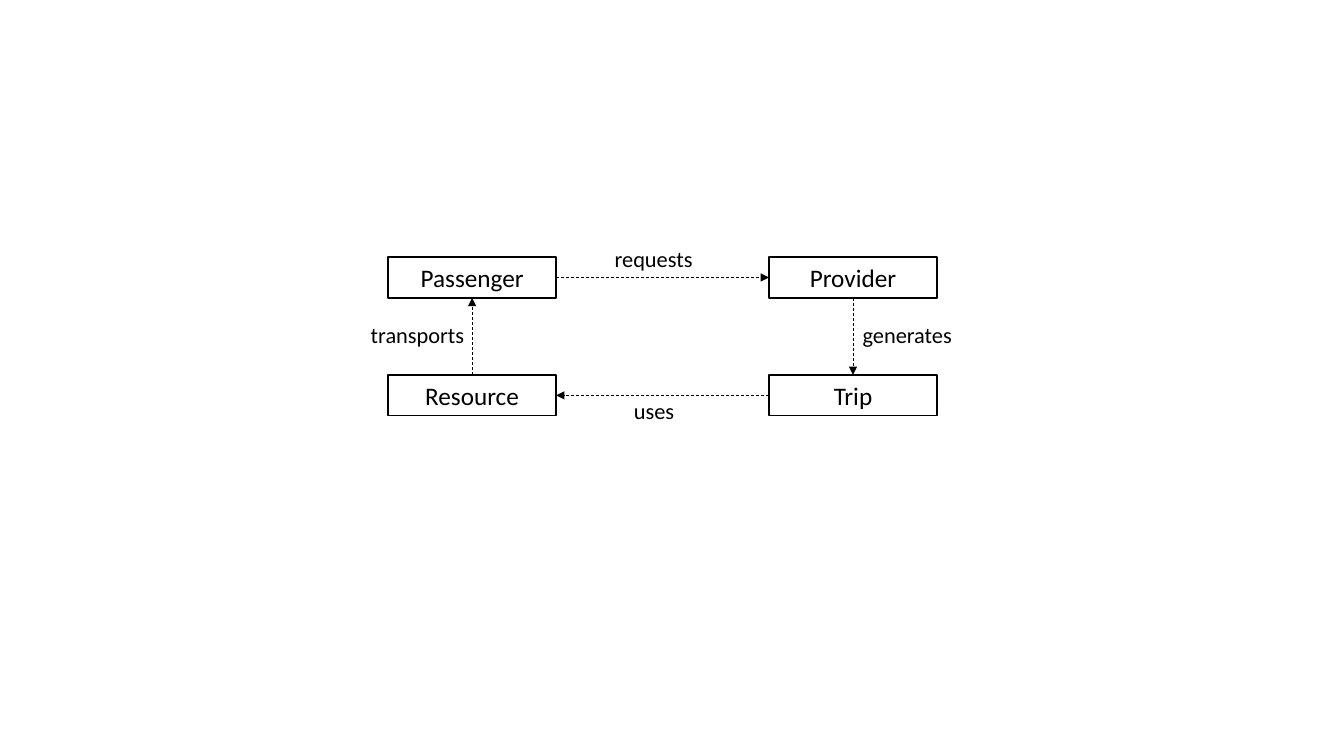
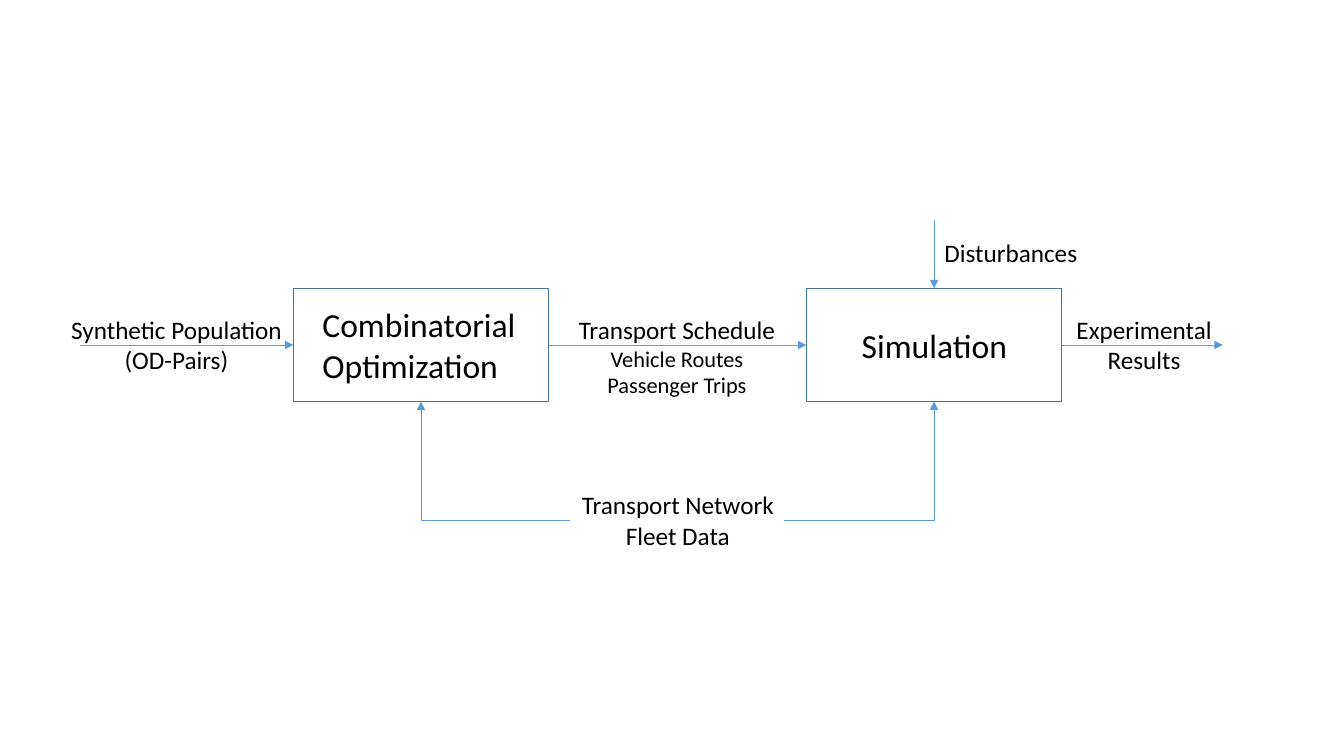
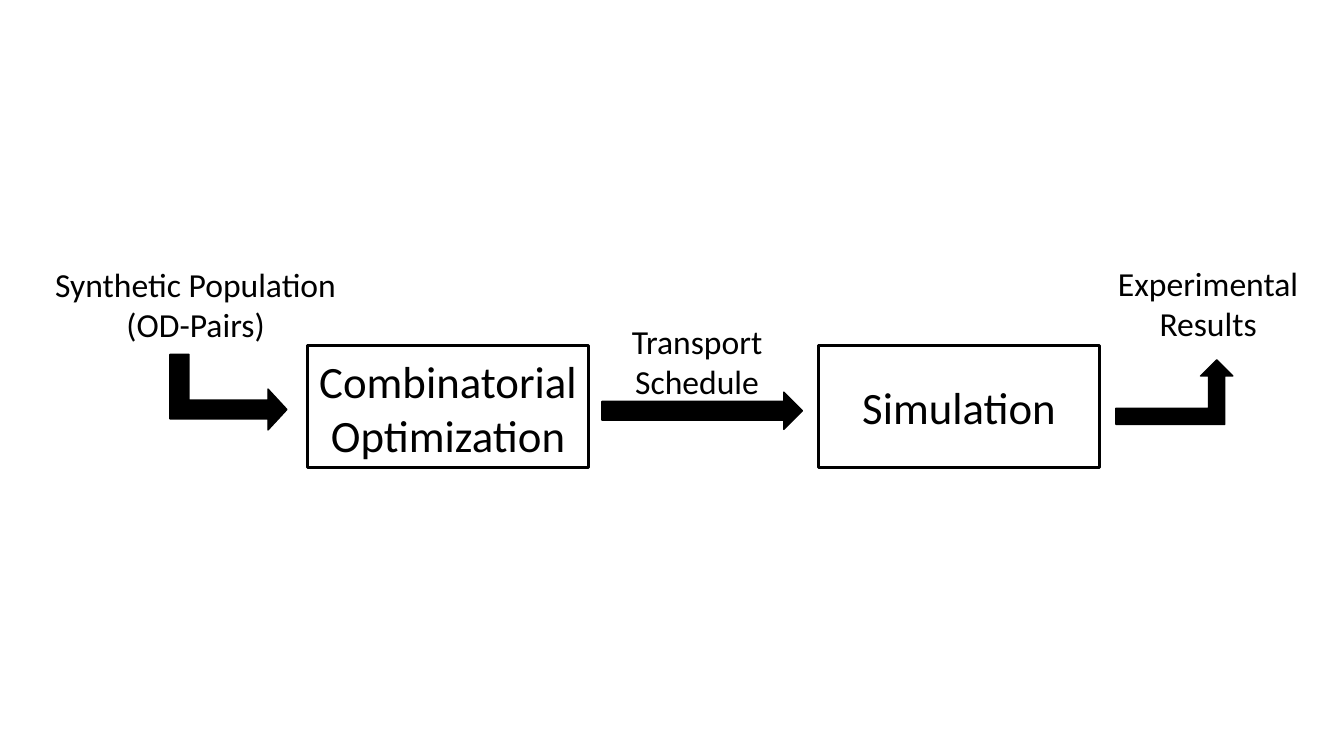
import pptx
import pptx.util
import pptx.dml.color
import pptx.enum.dml
import pptx.enum.shapes
import pptx.enum.text
import pptx.oxml
import pptx.oxml.ns

WIDE, HIGH = pptx.util.Inches(13.333), pptx.util.Inches(7.5)
FONT = "Calibri"
COLORS = {"ink": "000000", "edge": "43739E", "flow": "5B9BD5"}
SHAPE = pptx.enum.shapes.MSO_SHAPE
LINK = pptx.enum.shapes.MSO_CONNECTOR
ALIGN = pptx.enum.text.PP_ALIGN
# Share of a box's width and height at which each side's middle lies
SIDES = {"top": (0.5, 0), "left": (0, 0.5), "bottom": (0.5, 1), "right": (1, 0.5)}


# Lengths are percentages of the slide's width and height
def across(share):
    return round(WIDE * share / 100)


def down(share):
    return round(HIGH * share / 100)


def color(name):
    return pptx.dml.color.RGBColor.from_string(COLORS[name])


def style(para, size, align=ALIGN.CENTER):
    para.alignment = align
    para.font.name = FONT
    para.font.size = pptx.util.Pt(size)
    para.font.color.rgb = color("ink")


def shape(slide, kind, left, top, width, height, line="ink", weight=1, fill=None):
    item = slide.shapes.add_shape(
        kind, across(left), down(top), across(width), down(height))
    item.shadow.inherit = False
    if fill:
        item.fill.solid()
        item.fill.fore_color.rgb = color(fill)
    else:
        item.fill.background()
    item.line.color.rgb = color(line)
    item.line.width = pptx.util.Pt(weight)
    return item


def box(slide, left, top, width, height, text="", **look):
    item = shape(slide, SHAPE.RECTANGLE, left, top, width, height, **look)
    if text:
        item.text_frame.text = text
        style(item.text_frame.paragraphs[0], 18)
    return item


def label(slide, text, size, left, top, width, align=ALIGN.CENTER, rest=None):
    """Add a text box; lines after the first take the size rest, if given."""
    lines = text.split("\n")
    sizes = [size] + [rest or size] * (len(lines) - 1)
    height = pptx.util.Inches(0.1) + pptx.util.Pt(1.2 * sum(sizes))
    item = slide.shapes.add_textbox(across(left), down(top), across(width), height)
    frame = item.text_frame
    frame.text = text
    frame.word_wrap = False
    frame.auto_size = pptx.enum.text.MSO_AUTO_SIZE.SHAPE_TO_FIT_TEXT
    for para, points in zip(frame.paragraphs, sizes):
        style(para, points, align)


def port(item, side):
    part_x, part_y = SIDES[side]
    return (round(item.left + item.width * part_x),
            round(item.top + item.height * part_y))


def arrow(slide, start, end, line="flow", dash=False, bent=False):
    kind = LINK.ELBOW if bent else LINK.STRAIGHT
    item = slide.shapes.add_connector(kind, *start, *end)
    item.line.color.rgb = color(line)
    item.line.width = pptx.util.Pt(0.5)
    if dash:
        item.line.dash_style = pptx.enum.dml.MSO_LINE.DASH
    qn = pptx.oxml.ns.qn
    props = item._element.spPr
    if bent:  # a single corner
        props.find(qn("a:prstGeom")).set("prst", "bentConnector2")
    tail = props.find(qn("a:ln")).makeelement(qn("a:tailEnd"), {"type": "triangle"})
    props.find(qn("a:ln")).append(tail)
    props.append(props.makeelement(qn("a:effectLst"), {}))


def cycle(slide):
    # Corner boxes, clockwise
    left, right, upper, lower = 28.88, 57.22, 34, 49.6
    rider, firm, trip, car = [
        box(slide, x, y, 12.5, 5.4, text) for text, x, y in (
            ("Passenger", left, upper), ("Provider", right, upper),
            ("Trip", right, lower), ("Resource", left, lower))]
    # Links
    for start, out, end, into in (
            (rider, "right", firm, "left"), (firm, "bottom", trip, "top"),
            (trip, "left", car, "right"), (car, "top", rider, "bottom")):
        arrow(slide, port(start, out), port(end, into), "ink", dash=True)
    # Link labels
    for text, x, y, width in (
            ("generates", 63.45, 41.87, 8.25), ("uses", 46.43, 51.87, 4.58),
            ("transports", 26.85, 41.87, 8.55), ("requests", 45, 31.73, 7.43)):
        label(slide, text, 16, x, y, width, ALIGN.LEFT)


def flow(slide):
    # Labels
    level = 40.93
    label(slide, "Combinatorial\nOptimization", 24, 23.25, 39.6, 15.98, ALIGN.LEFT)
    label(slide, "Simulation", 24, 63.3, 42.27, 12.45)
    label(slide, "Transport Schedule\nVehicle Routes\nPassenger Trips", 18,
          42.23, level, 16.28, rest=16)
    label(slide, "Synthetic Population\n(OD-Pairs)", 18, 4.43, level, 17.4)
    label(slide, "Experimental\nResults", 18, 79.28, level, 11.7)
    label(slide, "Disturbances", 18, 69.53, 30.8, 11.48, ALIGN.LEFT)
    label(slide, "Transport Network\nFleet Data", 18, 42.45, 64.13, 15.98)
    # Stages
    solve, model = [box(slide, x, 38.13, 19, 15, line="edge") for x in (21.83, 60)]
    # Straight links
    row = port(solve, "left")[1]
    arrow(slide, port(solve, "right"), port(model, "left"))
    arrow(slide, (across(5.93), row), port(solve, "left"))
    arrow(slide, port(model, "right"), (across(90.98), row))
    roof = port(model, "top")
    arrow(slide, (roof[0], down(29.07)), roof)
    # Links from the shared data
    for x, stage in ((58.35, model), (42.45, solve)):
        arrow(slide, (across(x), down(68.8)), port(stage, "bottom"), bent=True)


def brief(slide):
    # Labels
    label(slide, "Transport\nSchedule", 24, 46.2, 41.73, 11.33)
    label(slide, "Synthetic Population\n(OD-Pairs)", 24, 3.23, 34.27, 22.65)
    label(slide, "Experimental\nResults", 24, 82.35, 34.13, 15.08)
    label(slide, "Combinatorial\nOptimization", 32, 22.88, 46.13, 20.93)
    label(slide, "Simulation", 32, 63.3, 49.6, 16.13)
    # Stages
    for x in (22.88, 60.9):
        box(slide, x, 45.73, 20.93, 16.13, weight=2.25)
    # Block arrows
    shape(slide, SHAPE.RIGHT_ARROW, 44.78, 51.87, 14.93, 4.93, fill="ink")
    shape(slide, SHAPE.BENT_UP_ARROW, 83.03, 47.6, 8.7, 8.53, fill="ink")
    entry = shape(slide, SHAPE.BENT_UP_ARROW, 14.18, 44.13, 5.63, 15.47, fill="ink")
    entry.rotation = 90
    entry.adjustments[1] = 0.27


def main():
    deck = pptx.Presentation()
    deck.slide_width, deck.slide_height = WIDE, HIGH
    blank = deck.slide_layouts[6]
    for draw in (cycle, flow, brief):
        draw(deck.slides.add_slide(blank))
    deck.save("out.pptx")


main()
